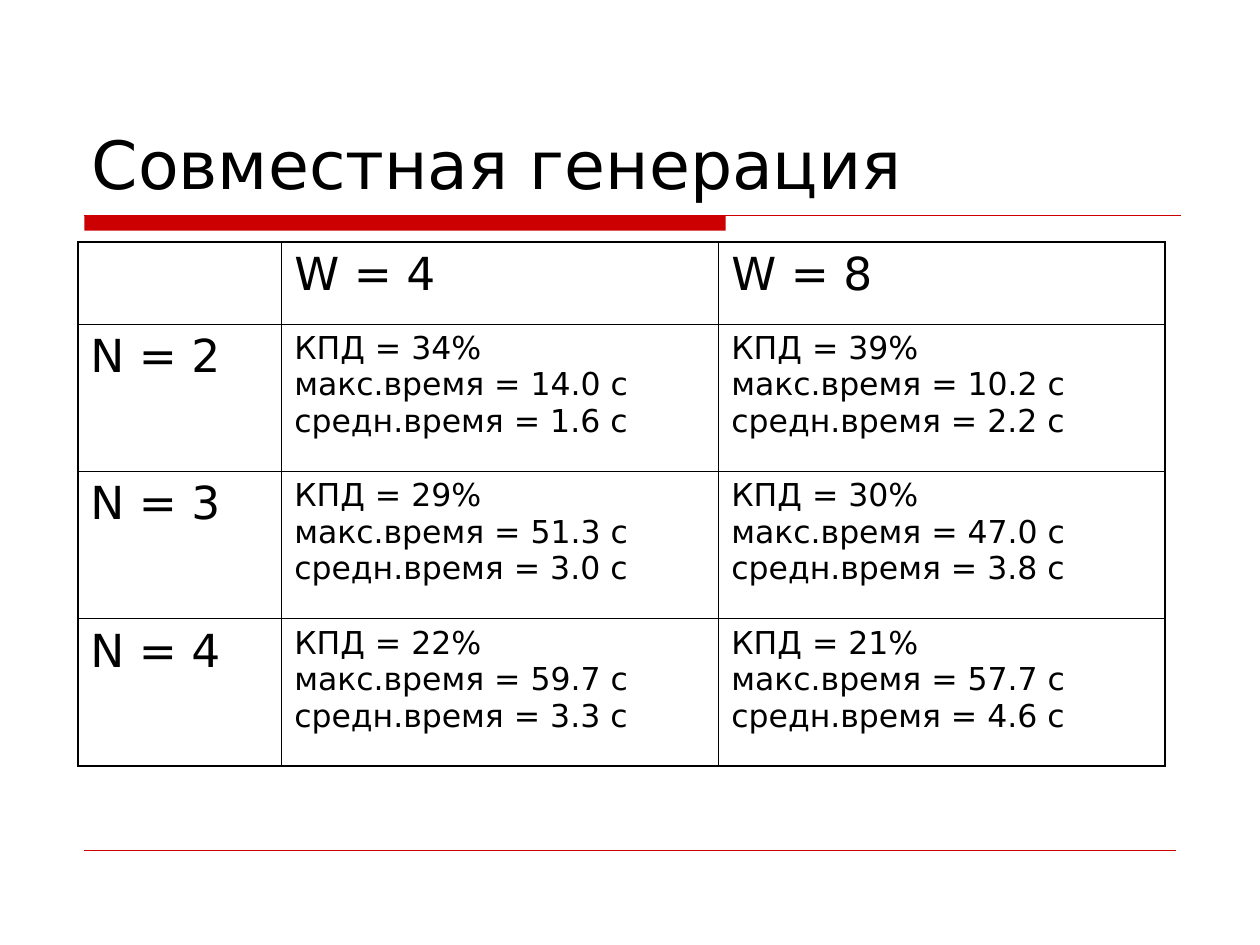
from lxml import etree
from pptx import Presentation
from pptx.dml.color import RGBColor
from pptx.enum.shapes import MSO_CONNECTOR, MSO_SHAPE
from pptx.enum.text import MSO_ANCHOR
from pptx.oxml.ns import qn
from pptx.util import Cm, Pt

RECTANGLE = MSO_SHAPE.RECTANGLE
STRAIGHT = MSO_CONNECTOR.STRAIGHT
BOTTOM = MSO_ANCHOR.BOTTOM

BLACK = RGBColor(0x00, 0x00, 0x00)
RED = RGBColor(0xCC, 0x00, 0x00)
FONT = "DejaVu Sans"
TITLE_SIZE, HEADING_SIZE, RESULT_SIZE = 38, 26, 18
OUTER_BORDER, INNER_BORDER = 1.08, 0.45

COLUMN_WIDTHS = (4.11, 8.81, 8.99)
ROW_HEIGHTS = (1.65, 2.97, 2.97, 2.97)
WINDOWS = (4, 8)
# For each N: (efficiency %, maximum time, mean time) per window size
RESULTS = {
    2: ((34, 14.0, 1.6), (39, 10.2, 2.2)),
    3: ((29, 51.3, 3.0), (30, 47.0, 3.8)),
    4: ((22, 59.7, 3.3), (21, 57.7, 4.6)),
}


def add_run(para, text, size):
    span = para.add_run()
    span.text = text
    span.font.name = FONT
    span.font.size = Pt(size)
    span.font.color.rgb = BLACK


def add_title(page, text):
    box = page.shapes.add_textbox(Cm(1.6), Cm(0.84), Cm(22.22), Cm(3.38))
    frame = box.text_frame
    frame.word_wrap = True
    frame.vertical_anchor = BOTTOM
    add_run(frame.paragraphs[0], text, TITLE_SIZE)


def add_rule(page, left, right, top, width):
    """Draw a thin red horizontal line."""
    rule = page.shapes.add_connector(STRAIGHT, Cm(left), Cm(top), Cm(right), Cm(top))
    rule.line.color.rgb = RED
    rule.line.width = Pt(width)
    etree.SubElement(rule._element.spPr, qn("a:effectLst"))


def add_bar(page):
    bar = page.shapes.add_shape(RECTANGLE, Cm(1.7), Cm(4.34), Cm(12.93), Cm(0.31))
    bar.shadow.inherit = False
    bar.fill.solid()
    bar.fill.fore_color.rgb = RED
    bar.line.fill.background()


def set_borders(cell, outer_sides):
    """Give the cell four black borders, thicker on the table's outline."""
    properties = cell._tc.get_or_add_tcPr()
    for side in "LRTB":
        width = OUTER_BORDER if side in outer_sides else INNER_BORDER
        border = etree.SubElement(properties, qn(f"a:ln{side}"), w=str(int(Pt(width))))
        fill = etree.SubElement(border, qn("a:solidFill"))
        etree.SubElement(fill, qn("a:srgbClr"), val=str(BLACK))


def write_result(cell, efficiency, maximum, mean):
    para = cell.text_frame.paragraphs[0]
    add_run(para, f"КПД = {efficiency}%", RESULT_SIZE)
    para.add_line_break()
    add_run(para, f"макс.время = {maximum} с средн.время = {mean} с", RESULT_SIZE)


def add_results_table(page):
    row_count, column_count = len(ROW_HEIGHTS), len(COLUMN_WIDTHS)
    table = page.shapes.add_table(
        row_count, column_count, Cm(1.57), Cm(4.88),
        Cm(sum(COLUMN_WIDTHS)), Cm(sum(ROW_HEIGHTS)),
    ).table
    table.first_row = table.horz_banding = False
    for column, width in zip(table.columns, COLUMN_WIDTHS):
        column.width = Cm(width)
    for row, height in zip(table.rows, ROW_HEIGHTS):
        row.height = Cm(height)

    for row in range(row_count):
        for column in range(column_count):
            edges = {"L": column == 0, "R": column == column_count - 1,
                     "T": row == 0, "B": row == row_count - 1}
            cell = table.cell(row, column)
            set_borders(cell, [side for side, outer in edges.items() if outer])
            cell.fill.background()

    for column, window in enumerate(WINDOWS, 1):
        add_run(table.cell(0, column).text_frame.paragraphs[0], f"W = {window}", HEADING_SIZE)
    for row, (number, results) in enumerate(RESULTS.items(), 1):
        add_run(table.cell(row, 0).text_frame.paragraphs[0], f"N = {number}", HEADING_SIZE)
        for column, result in enumerate(results, 1):
            write_result(table.cell(row, column), *result)


def main():
    deck = Presentation()
    deck.slide_width, deck.slide_height = Cm(25.4), Cm(19.05)
    page = deck.slides.add_slide(deck.slide_layouts[6])
    add_bar(page)
    add_rule(page, 1.7, 23.8, 4.34, 0.75)
    add_rule(page, 1.7, 23.7, 17.15, 0.25)
    add_title(page, "Совместная генерация")
    add_results_table(page)
    deck.save("out.pptx")


if __name__ == "__main__":
    main()
